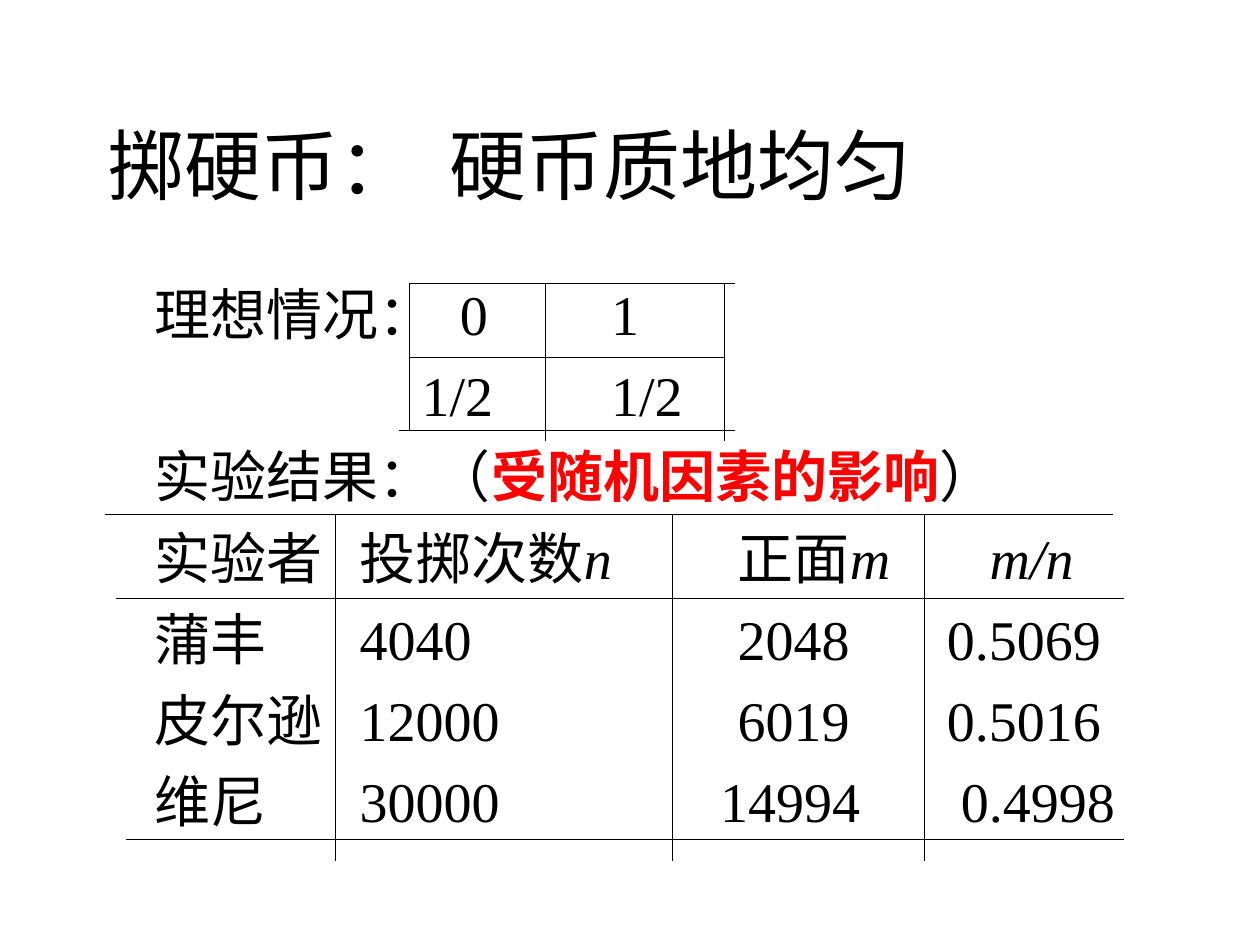
import pptx
import pptx.util
import pptx.dml.color
import pptx.enum.lang
import pptx.enum.shapes
import pptx.enum.text
import pptx.oxml
import pptx.oxml.ns

Cm = pptx.util.Cm
Pt = pptx.util.Pt
BLACK = pptx.dml.color.RGBColor(0x00, 0x00, 0x00)
RED = pptx.dml.color.RGBColor(0xFF, 0x00, 0x00)
FONT = {
    "name": "Times New Roman",
    "language_id": pptx.enum.lang.MSO_LANGUAGE_ID.SIMPLIFIED_CHINESE,
}
PLAIN, BOLD, SLANT = {}, {"bold": True}, {"italic": True}

deck = pptx.Presentation()
deck.slide_width, deck.slide_height = Cm(25.4), Cm(19.05)
slide = deck.slides.add_slide(deck.slide_layouts[6])


def add_box(left, top, width, height, anchor):
    box = slide.shapes.add_textbox(Cm(left), Cm(top), Cm(width), Cm(height))
    box.text_frame.word_wrap = True
    box.text_frame.vertical_anchor = anchor
    return box.text_frame


def fill_line(para, runs, size, stops):
    """Set tab stops (in cm) and add runs of (text, format, colour)."""
    tabs = pptx.oxml.parse_xml(f"<a:tabLst {pptx.oxml.ns.nsdecls('a')}/>")
    for stop in stops:
        tab = tabs.makeelement(pptx.oxml.ns.qn("a:tab"), {"pos": str(Cm(stop)), "algn": "l"})
        tabs.append(tab)
    para._p.get_or_add_pPr().append(tabs)
    for text, form, tint in runs:
        run = para.add_run()
        run.text = text
        for key, value in {**FONT, "size": Pt(size), **form}.items():
            setattr(run.font, key, value)
        run.font.color.rgb = tint


# Title
title = add_box(1.92, 1.71, 21.59, 3.18, pptx.enum.text.MSO_ANCHOR.MIDDLE)
fill_line(title.paragraphs[0], [("掷硬币：\t硬币质地均匀", PLAIN, BLACK)], 44, [6.9])

# Text of both grids: runs and tab stops (from the indent) of each line
lines = [
    ([("理想情况：\t0\t1", PLAIN, BLACK)], [6.15, 9.2]),
    ([("\t1/2\t1/2", PLAIN, BLACK)], [5.38, 9.2]),
    ([("实验结果：（", PLAIN, BLACK), ("受随机因素的影响", BOLD, RED),
      ("）", PLAIN, BLACK)], []),
    ([("实验者\t投掷次数", PLAIN, BLACK), ("n\t", SLANT, BLACK),
      ("正面", PLAIN, BLACK), ("m\tm/n", SLANT, BLACK)], [4.13, 11.75, 16.83]),
    ([("蒲丰\t4040\t2048\t0.5069", PLAIN, BLACK)], [4.13, 11.75, 15.97]),
    ([("皮尔逊\t12000\t6019\t0.5016", PLAIN, BLACK)], [4.13, 11.75, 15.97]),
    ([("维尼\t30000\t14994\t0.4998", PLAIN, BLACK)], [4.13, 11.4, 16.25]),
]
body = add_box(1.92, 5.51, 21.59, 11.43, pptx.enum.text.MSO_ANCHOR.TOP)
for row, (runs, stops) in enumerate(lines):
    para = body.add_paragraph() if row else body.paragraphs[0]
    para._p.get_or_add_pPr().set("marL", str(Cm(0.95)))
    if row:
        para.space_before = Pt(8)
    fill_line(para, runs, 32, stops)

# Rules as (x1, y1, x2, y2): ideal case, then experiments
rules = [(8.25, 5.72, 14.82, 5.72), (8.25, 7.2, 14.6, 7.2), (8.04, 8.68, 14.82, 8.68)]
rules += [(x, 5.72, x, end) for x, end in [(8.25, 8.68), (11, 8.89), (14.6, 8.89)]]
rules += [(2.12, 10.37, 22.44, 10.37), (2.33, 12.07, 22.65, 12.07), (2.54, 16.93, 22.65, 16.93)]
rules += [(x, 10.37, x, 17.36) for x in (6.77, 13.55, 18.63)]
for ends in rules:
    rule = slide.shapes.add_connector(
        pptx.enum.shapes.MSO_CONNECTOR.STRAIGHT, *[Cm(end) for end in ends])
    rule.line.color.rgb = BLACK
    rule.line.width = Pt(0.75)
    props = rule._element.spPr
    props.append(props.makeelement(pptx.oxml.ns.qn("a:effectLst"), {}))

deck.save("out.pptx")
